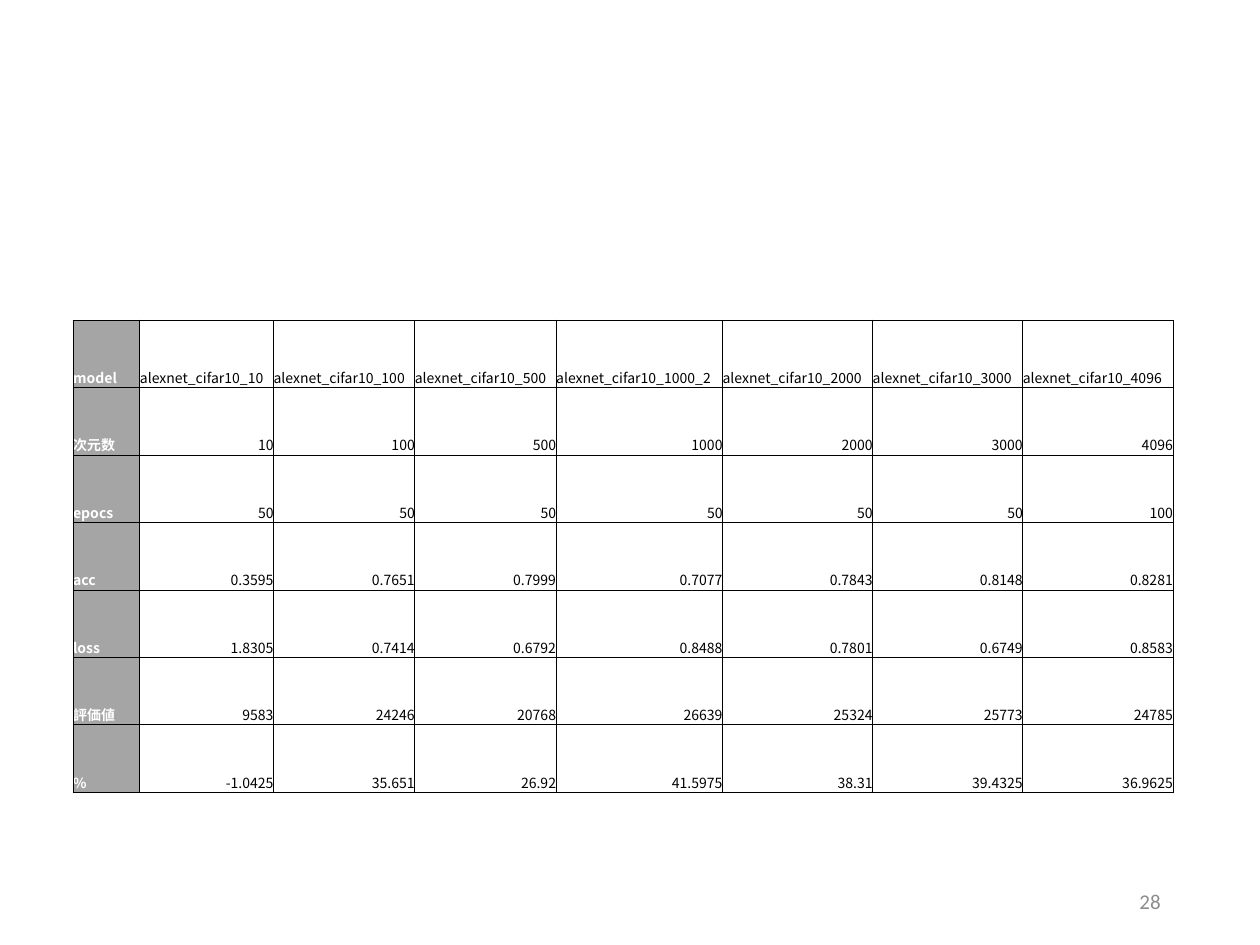
from lxml import etree
from pptx import Presentation
from pptx import util as u
from pptx.dml import color
from pptx.enum import text
from pptx.oxml import ns

COLORS = {"header": "A5A5A5", "header_text": "FFFFFF", "ink": "000000", "number": "8C8C8C"}

SIZES = ["10", "100", "500", "1000", "2000", "3000", "4096"]
MODELS = ["alexnet_cifar10_" + ("1000_2" if size == "1000" else size) for size in SIZES]
RESULTS = [
    ["model"] + MODELS,
    ["次元数"] + SIZES,
    ["epocs"] + ["50"] * 6 + ["100"],
    ["acc", "0.3595", "0.7651", "0.7999", "0.7077", "0.7843", "0.8148", "0.8281"],
    ["loss", "1.8305", "0.7414", "0.6792", "0.8488", "0.7801", "0.6749", "0.8583"],
    ["評価値", "9583", "24246", "20768", "26639", "25324", "25773", "24785"],
    ["%", "-1.0425", "35.651", "26.92", "41.5975", "38.31", "39.4325", "36.9625"],
]
COLUMN_WEIGHTS = [0.53, 1.06, 1.12, 1.12, 1.32, 1.19, 1.19, 1.19]


class SlideBuilder:
    """Holds the style and the current slide; places are shares of its size."""

    table_font, number_font = "Noto Sans CJK JP", "Calibri"

    def __init__(self, deck):
        self.width, self.height = deck.slide_width, deck.slide_height
        self.page = deck.slides.add_slide(deck.slide_layouts[6])

    def area(self, left, top, width, height):
        return (int(left * self.width), int(top * self.height),
                int(width * self.width), int(height * self.height))

    def add_words(self, frame, words, size, font, ink, align, bold=False):
        para = frame.paragraphs[0]
        para.alignment = align
        span = para.add_run()
        span.text = words
        span.font.size, span.font.name, span.font.bold = u.Pt(size), font, bold
        span.font.color.rgb = color.RGBColor.from_string(COLORS[ink])
        east_asian = etree.SubElement(span.font._element, ns.qn("a:ea"))
        east_asian.set("typeface", font)

    def border(self, cell, points=0.5):
        props = cell._tc.get_or_add_tcPr()
        for side in ("lnL", "lnR", "lnT", "lnB"):
            line = etree.SubElement(props, ns.qn("a:" + side), w=str(u.Pt(points)))
            fill = etree.SubElement(line, ns.qn("a:solidFill"))
            etree.SubElement(fill, ns.qn("a:srgbClr"), val=COLORS["ink"])

    def cell(self, cell, words, is_header, align):
        cell.margin_left = cell.margin_right = cell.margin_top = cell.margin_bottom = 0
        cell.vertical_anchor = text.MSO_ANCHOR.BOTTOM
        self.border(cell)
        if is_header:
            cell.fill.solid()
            cell.fill.fore_color.rgb = color.RGBColor.from_string(COLORS["header"])
        else:
            cell.fill.background()
        ink = "header_text" if is_header else "ink"
        self.add_words(cell.text_frame, words, 8, self.table_font, ink, align, is_header)

    def table(self, rows, weights, *area):
        place = self.area(*area)
        table = self.page.shapes.add_table(len(rows), len(weights), *place).table
        table.first_row = table.horz_banding = False
        for column, weight in zip(table.columns, weights):
            column.width = int(place[2] * weight / sum(weights))
        for row in table.rows:
            row.height = place[3] // len(rows)
        for r, row in enumerate(rows):
            for c, words in enumerate(row):
                is_label = r == 0 or c == 0
                align = text.PP_ALIGN.LEFT if is_label else text.PP_ALIGN.RIGHT
                self.cell(table.cell(r, c), words, c == 0, align)

    def page_number(self, words, *area):
        box = self.page.shapes.add_textbox(*self.area(*area))
        frame = box.text_frame
        frame.word_wrap = True
        frame.vertical_anchor = text.MSO_ANCHOR.MIDDLE
        self.add_words(frame, words, 12, self.number_font, "number", text.PP_ALIGN.RIGHT)


def main():
    deck = Presentation()
    deck.slide_width, deck.slide_height = u.Inches(10), u.Inches(7.5)
    builder = SlideBuilder(deck)

    # Results per model
    builder.table(RESULTS, COLUMN_WEIGHTS, 0.058, 2.54 / 7.5, 0.873, 0.5)

    # Page number
    builder.page_number("28", 0.706, 6.95 / 7.5, 0.225, 0.4 / 7.5)

    deck.save("out.pptx")


if __name__ == "__main__":
    main()
